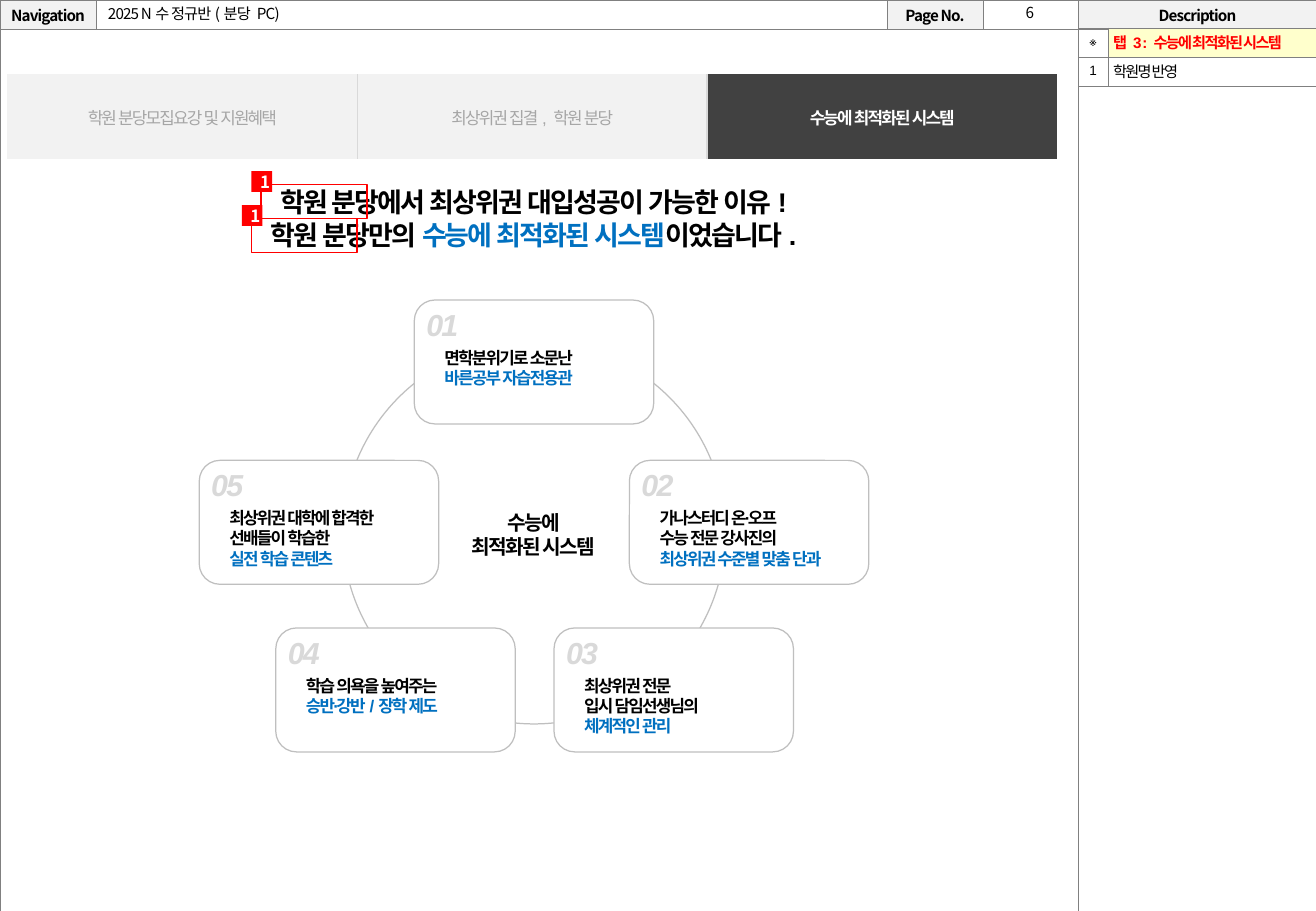
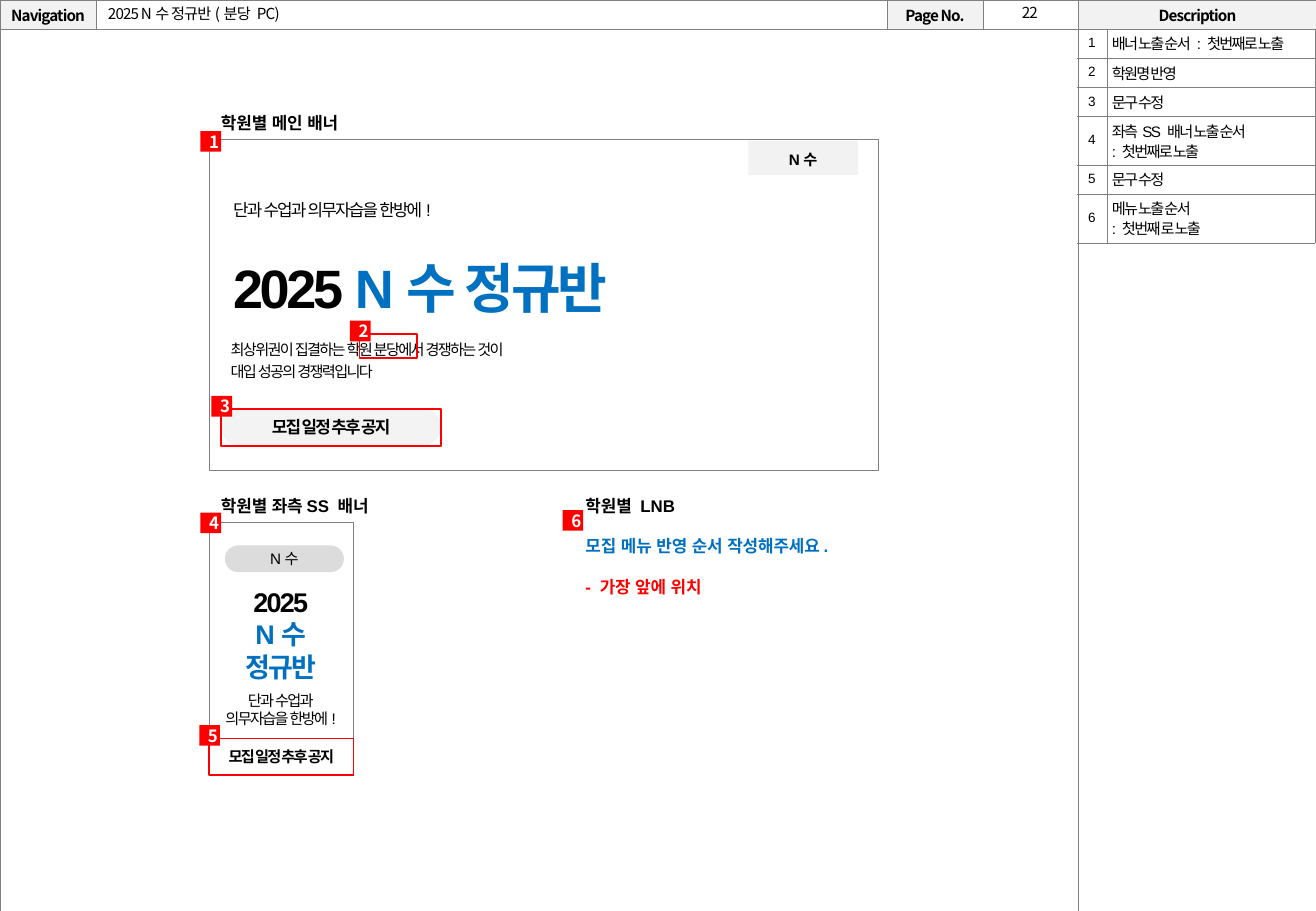
from lxml import etree
from pptx import Presentation
from pptx.dml.color import RGBColor
from pptx.enum.shapes import MSO_SHAPE
from pptx.enum.text import MSO_ANCHOR, PP_ALIGN
from pptx.oxml.ns import qn
from pptx.util import Inches, Pt

RECT, ROUND, OVAL = MSO_SHAPE.RECTANGLE, MSO_SHAPE.ROUNDED_RECTANGLE, MSO_SHAPE.OVAL
LEFT, MID = PP_ALIGN.LEFT, PP_ALIGN.CENTER
TOP, CORE = MSO_ANCHOR.TOP, MSO_ANCHOR.MIDDLE
SANS, NOTO = "Arial", "Noto Sans CJK KR"
BLACK, WHITE, RED, BLUE = "000000", "FFFFFF", "FF0000", "0070C0"
GRAY, PALE, SILVER, MIST = "808080", "F2F2F2", "BFBFBF", "D9D9D9"


def rgb(code):
    return RGBColor.from_string(code)


def write(frame, lines, size=10, font=SANS, asian=None, color=BLACK, bold=False,
          italic=False, track=0, align=LEFT, lead=None, gap=0):
    for i, line in enumerate(lines):
        para = frame.add_paragraph() if i else frame.paragraphs[0]
        para.alignment = align
        if lead:
            para.line_spacing = lead
        if i and gap:
            para.space_before = Pt(gap)
        if not line:
            etree.SubElement(para._p, qn("a:endParaRPr"), sz=str(size * 100))
            continue
        for text, tint in [(line, color)] if isinstance(line, str) else line:
            run = para.add_run()
            run.text = text
            face = run.font
            face.size, face.bold, face.italic = Pt(size), bold, italic
            face.color.rgb = rgb(tint)
            face.name = font
            props = run._r.get_or_add_rPr()
            etree.SubElement(props, qn("a:ea"), typeface=asian or font)
            if track:
                props.set("spc", str(int(track * 100)))


class Sheet:
    """Holds the shared style and the slide being drawn."""

    def __init__(self):
        self.deck = Presentation()
        self.deck.slide_width, self.deck.slide_height = Inches(10.83), Inches(7.5)

    def start(self, page):
        self.slide = self.deck.slides.add_slide(self.deck.slide_layouts[6])
        style = dict(size=9, font=NOTO, track=-0.5)
        head = dict(style, bold=True, align=MID)
        names = ["Navigation", "", "Page No.", "", "Description"]
        rows = [[([name], PALE if name else WHITE, head) for name in names],
                [([""], WHITE, head)] * 5]
        grid = self.table(0, 0, [0.79, 6.51, 0.79, 0.78, 1.97], [0.24, 7.27], rows,
                          ["LRTB"] * 5, pad=(0, 0))
        grid.cell(1, 0).merge(grid.cell(1, 3))
        self.text(8.09, -0.02, 0.77, 0.25, [str(page)], align=MID, **style)
        self.text(0.79, 0, 6.52, 0.23, ["2025 N수 정규반(분당 PC)"], anchor=CORE, **style)

    def text(self, x, y, w, h, lines, anchor=TOP, **fmt):
        box = self.slide.shapes.add_textbox(Inches(x), Inches(y), Inches(w), Inches(h))
        box.text_frame.word_wrap = True
        box.text_frame.vertical_anchor = anchor
        write(box.text_frame, lines, **fmt)

    def shape(self, kind, x, y, w, h, fill=None, line=None, width=0.25, alpha=None,
              bend=None, lines=(), anchor=CORE, **fmt):
        item = self.slide.shapes.add_shape(kind, Inches(x), Inches(y), Inches(w), Inches(h))
        item.shadow.inherit = False
        if bend is not None:
            item.adjustments[0] = bend
        if fill:
            item.fill.solid()
            item.fill.fore_color.rgb = rgb(fill)
        else:
            item.fill.background()
        if alpha:
            tint = item._element.spPr.find(qn("a:solidFill"))[0]
            etree.SubElement(tint, qn("a:alpha"), val=str(alpha * 1000))
        if line:
            item.line.color.rgb = rgb(line)
            item.line.width = Pt(width)
        else:
            item.line.fill.background()
        if lines:
            item.text_frame.word_wrap = True
            item.text_frame.vertical_anchor = anchor
            write(item.text_frame, lines, align=MID, **fmt)

    def table(self, x, y, cols, rows, cells, sides, pad=(0.1, 0.05), edge=GRAY, width=0.25):
        grid = self.slide.shapes.add_table(
            len(rows), len(cols), Inches(x), Inches(y),
            Inches(sum(cols)), Inches(sum(rows))).table
        grid.first_row = grid.horz_banding = False
        for col, size in zip(grid.columns, cols):
            col.width = Inches(size)
        for r, size in enumerate(rows):
            grid.rows[r].height = Inches(size)
            for c, (lines, fill, fmt) in enumerate(cells[r]):
                cell = grid.cell(r, c)
                cell.vertical_anchor = CORE
                cell.margin_left = cell.margin_right = Inches(pad[0])
                cell.margin_top = cell.margin_bottom = Inches(pad[1])
                self.border(cell, sides[c], edge, width)
                if fill:
                    cell.fill.solid()
                    cell.fill.fore_color.rgb = rgb(fill)
                else:
                    cell.fill.background()
                write(cell.text_frame, lines, **fmt)
        return grid

    def border(self, cell, sides, edge, width):
        props = cell._tc.get_or_add_tcPr()
        for side in "LRTB":
            line = etree.SubElement(props, qn("a:ln" + side), w=str(int(Pt(width))))
            if side in sides:
                fill = etree.SubElement(line, qn("a:solidFill"))
                etree.SubElement(fill, qn("a:srgbClr"), val=edge)
            else:
                etree.SubElement(line, qn("a:noFill"))

    def notes(self, x, y, items):
        base = dict(asian=NOTO, track=-1, lead=0.9)
        cells = [[([mark], None, dict(base, size=8, align=MID)),
                  (lines, fill, dict(base, size=9, **fmt))]
                 for mark, lines, fill, fmt in items]
        rows = [0.08 + 0.16 * len(item[1]) for item in items]
        self.table(x, y, [0.25, 1.71], rows, cells, ["RTB", "LRTB"], pad=(0.04, 0.04))

    def tag(self, num, x, y):
        self.shape(RECT, x, y, 0.17, 0.17, RED, lines=[str(num)], font=NOTO,
                   color=WHITE, bold=True)

    def mark(self, num, x, y, w, h):
        self.shape(RECT, x, y, w, h, line=RED, width=1)
        self.tag(num, x - 0.08, y - 0.11)

    def card(self, num, x, y, lines):
        self.shape(ROUND, x, y, 1.97, 1.02, WHITE, SILVER, 0)
        self.text(x + 0.15, y + 0.34, 1.73, 0.1 + 0.17 * len(lines),
                  lines[:-1] + [[(lines[-1], BLUE)]], bold=True, track=-1)
        self.text(x, y, 0.87, 0.4, [f"{num:02}"], size=18, color=MIST, bold=True,
                  italic=True, track=-1)


def system(page):
    page.start(6)
    page.notes(8.87, 0.23, [
        ("※", ["탭 3 : 수능에 최적화된 시스템"], "FFFFCC", dict(color=RED, bold=True)),
        ("1", ["학원명 반영"], WHITE, {})])
    page.text(0.77, 1.48, 7.24, 0.64, [
        "학원 분당에서 최상위권 대입성공이 가능한 이유!",
        [("학원 분당만의 ", BLACK), ("수능에 최적화된 시스템", BLUE), ("이었습니다.", BLACK)]],
        size=16, bold=True, track=-1, align=MID)
    page.shape(OVAL, 2.82, 2.81, 3.15, 3.15, WHITE, SILVER, 0)
    cards = [(3.41, 2.47, ["면학분위기로 소문난", "바른공부 자습전용관"]),
             (5.18, 3.79, ["가나스터디 온∙오프", "수능 전문 강사진의", "최상위권 수준별 맞춤 단과"]),
             (4.56, 5.17, ["최상위권 전문", "입시 담임선생님의", "체계적인 관리"]),
             (2.27, 5.17, ["학습 의욕을 높여주는", "승반∙강반/장학 제도"]),
             (1.64, 3.79, ["최상위권 대학에 합격한", "선배들이 학습한", "실전 학습 콘텐츠"])]
    for num, (x, y, lines) in enumerate(cards, 1):
        page.card(num, x, y, lines)
    page.text(3.6, 4.15, 1.58, 0.5, ["수능에", "최적화된 시스템"], size=12, bold=True,
              track=-1, align=MID)
    for x, y in [(2.15, 1.52), (2.07, 1.8)]:
        page.mark(1, x, y, 0.87, 0.28)
    tab = dict(track=-1, align=MID, lead=1.2)
    dim = dict(tab, color="A6A6A6")
    page.table(0.06, 0.61, [2.88] * 3, [0.7], [[
        (["학원 분당모집요강 및 지원혜택"], PALE, dim),
        (["최상위권 집결, 학원 분당"], PALE, dim),
        (["수능에 최적화된 시스템"], "414141", dict(tab, color=WHITE, bold=True))]],
        ["R", "LR", "L"], edge=MIST, width=1)


def banner(page):
    page.start(22)
    notes = [["배너 노출 순서 : 첫번째로 노출"], ["학원명 반영"], ["문구 수정"],
             ["좌측SS 배너 노출 순서", ": 첫번째로 노출"], ["문구 수정"],
             ["메뉴 노출 순서", ": 첫번째 로 노출"]]
    page.notes(8.86, 0.24, [(str(i), lines, None, {}) for i, lines in enumerate(notes, 1)])

    page.text(1.72, 0.88, 1.28, 0.27, ["학원별 메인 배너"], bold=True)
    page.shape(RECT, 1.72, 1.15, 5.51, 2.72, WHITE, GRAY)
    page.shape(RECT, 6.16, 1.16, 0.9, 0.28, PALE, lines=["N수"], anchor=TOP, size=9,
               bold=True, track=-1, lead=1.2)
    page.text(1.82, 1.56, 1.96, 0.3, ["단과 수업과 의무자습을 한방에!"], track=-1, lead=1.2)
    page.text(1.82, 1.94, 4.54, 0.68, [[("2025 ", BLACK), ("N수 정규반", BLUE)]], size=32,
              bold=True, track=-2, lead=1.2)
    page.text(1.8, 2.72, 2.71, 0.46, ["최상위권이 집결하는 학원 분당에서 경쟁하는 것이",
              "대입 성공의 경쟁력입니다"], size=9, track=-1, lead=1.2)
    plan = dict(lines=["모집 일정 추후 공지"], font=NOTO, bold=True, track=-1)
    page.shape(ROUND, 1.82, 3.36, 1.81, 0.31, PALE, alpha=90, bend=0.5, **plan)

    page.text(1.72, 4.03, 1.49, 0.27, ["학원별 좌측SS 배너"], bold=True)
    page.text(4.72, 4.03, 3.36, 0.94, ["학원별 LNB",
              [("모집 메뉴 반영 순서 작성해주세요.", BLUE)], [("- 가장 앞에 위치", RED)]],
              bold=True, gap=12)
    page.shape(RECT, 1.72, 4.3, 1.19, 2.08, line=GRAY)
    page.shape(ROUND, 1.85, 4.49, 0.98, 0.22, MIST, alpha=90, bend=0.5, lines=["N수"],
               size=9, track=-1.5)
    page.shape(RECT, 1.72, 6.08, 1.19, 0.3, line=GRAY, size=9, **plan)
    page.text(1.72, 4.77, 1.18, 0.91, ["2025", [("N수", BLUE)], [("정규반", BLUE)]],
              size=16, bold=True, track=-1, align=MID)
    page.text(1.72, 5.64, 1.18, 0.4, ["단과 수업과", "의무자습을 한방에!"], size=9,
              track=-1, align=MID)

    page.mark(2, 2.96, 2.75, 0.47, 0.2)
    page.mark(3, 1.82, 3.37, 1.81, 0.3)
    page.mark(5, 1.72, 6.08, 1.19, 0.3)
    for num, x, y in [(6, 4.63, 4.2), (1, 1.65, 1.08), (4, 1.65, 4.22)]:
        page.tag(num, x, y)


def main():
    page = Sheet()
    system(page)
    banner(page)
    page.deck.save("out.pptx")


if __name__ == "__main__":
    main()
